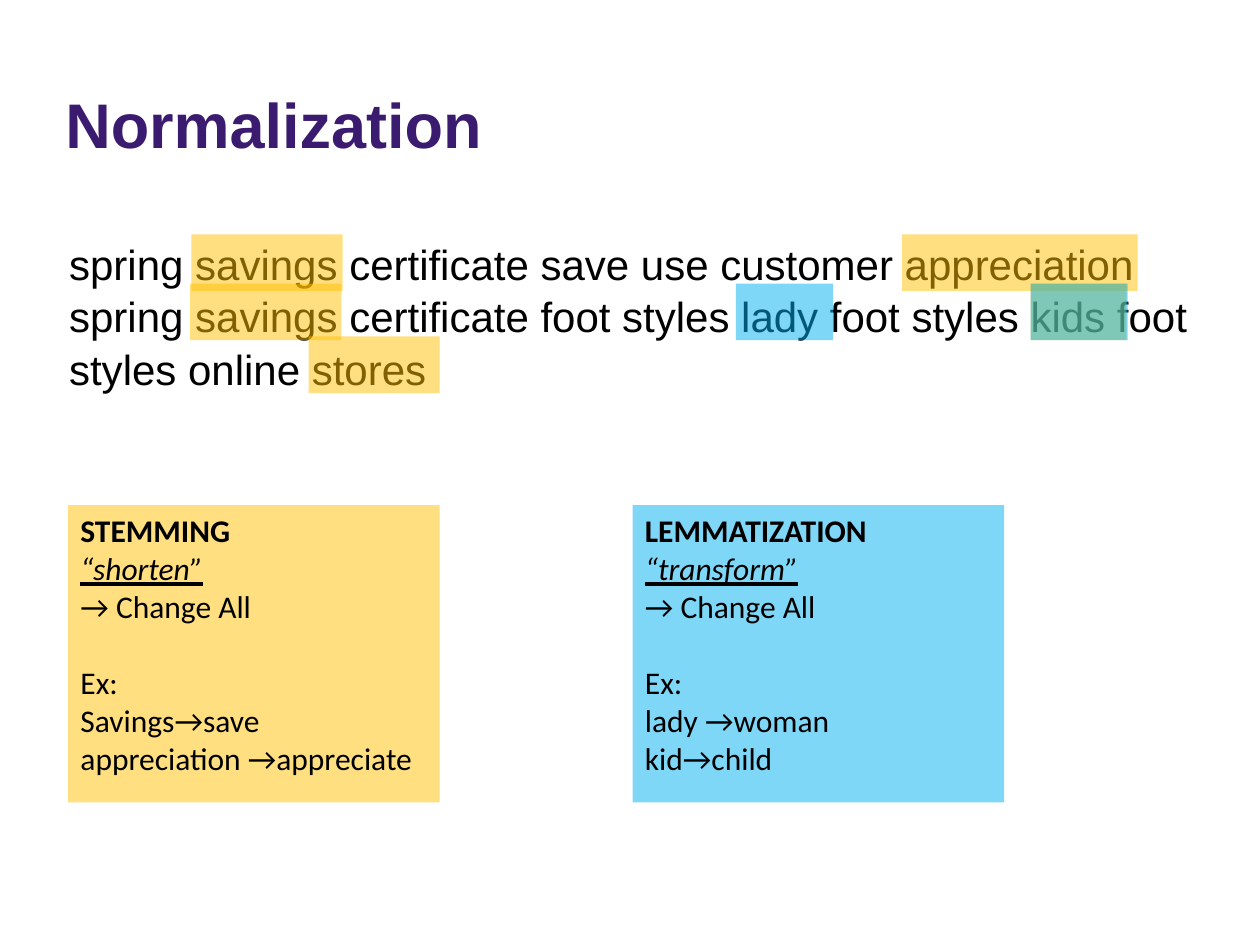
from lxml import etree
from pptx import Presentation
from pptx.dml.color import RGBColor
from pptx.enum import shapes, text
from pptx.oxml import ns
from pptx.util import Inches, Pt

AMBER, BLUE = "FFC000", "00B0F0"
BLACK, PURPLE = "000000", "3B1B70"


def color(value):
    """Turn a hex string into a colour."""
    return RGBColor.from_string(value)


def add_run(paragraph, words, size, font="Arial", ink=BLACK, **styles):
    """Add one styled run to a paragraph."""
    run = paragraph.add_run()
    run.text = words
    run.font.name, run.font.size = font, Pt(size)
    run.font.color.rgb = color(ink)
    for name, value in styles.items():
        setattr(run.font, name, value)


def add_text_box(slide, box):
    """Add a wrapping text box and return its first paragraph."""
    frame = slide.shapes.add_textbox(*map(Inches, box)).text_frame
    frame.word_wrap = True
    return frame.paragraphs[0]


def add_block(slide, box, fill):
    """Add a half-transparent rectangle without outline."""
    shape = slide.shapes.add_shape(shapes.MSO_SHAPE.RECTANGLE, *map(Inches, box))
    shape.shadow.inherit = False
    shape.line.fill.background()
    shape.fill.solid()
    shape.fill.fore_color.rgb = color(fill)
    rgb = shape.fill._xPr.find(".//" + ns.qn("a:srgbClr"))
    etree.SubElement(rgb, ns.qn("a:alpha"), val="50000")
    return shape


def add_title(slide, box):
    """Add the slide title."""
    add_run(add_text_box(slide, box), "Normalization", 36, ink=PURPLE, bold=True)


def add_sample(slide, box):
    """Add the sample text whose words are highlighted."""
    paragraph = add_text_box(slide, box)
    paragraph.line_spacing = 1.05
    paragraph.space_after = Pt(10)
    add_run(
        paragraph,
        "spring savings certificate save use customer appreciation "
        "spring savings certificate foot styles lady foot styles kids "
        "foot styles online stores",
        24,
    )


def add_highlights(slide, box):
    """Mark words of the sample text, placed relative to its box."""
    left, top = box[:2]
    first, second, third = 0.04, 0.43, 0.85
    marks = [
        (1.07, first, 1.2, AMBER),
        (5.39, second, 0.77, BLUE),
        (6.71, first, 1.87, AMBER),
        (1.06, second, 1.2, AMBER),
        (2.0, third, 1.04, AMBER),
        (7.73, second, 0.76, AMBER),
        (7.73, second, 0.77, BLUE),
    ]
    for x, y, width, fill in marks:
        add_block(slide, (left + x, top + y, width, 0.45), fill)


def add_method(slide, box, fill, name, motto, examples):
    """Add a card that explains one normalization method."""
    frame = add_block(slide, box, fill).text_frame
    frame.word_wrap = True
    frame.vertical_anchor = text.MSO_ANCHOR.TOP
    lines = [
        (name, {"bold": True}),
        (motto, {"italic": True, "underline": True}),
        ("→ Change All", {}),
        ("Ex:", {}),
        *((example, {}) for example in examples),
    ]
    for index, (words, styles) in enumerate(lines):
        paragraph = frame.add_paragraph() if index else frame.paragraphs[0]
        paragraph.alignment = text.PP_ALIGN.LEFT
        if words == "Ex:":
            paragraph.space_before = Pt(22)
        add_run(paragraph, words, 18, "Calibri", **styles)


def main():
    """Build the slide and save it."""
    presentation = Presentation()
    presentation.slide_width, presentation.slide_height = Inches(10), Inches(7.5)
    slide = presentation.slides.add_slide(presentation.slide_layouts[6])

    sample_box = (0.45, 1.82, 9.28, 1.31)
    add_title(slide, (0.42, 0.63, 8.6, 0.71))
    add_sample(slide, sample_box)
    add_highlights(slide, sample_box)

    methods = [
        (AMBER, "STEMMING", "“shorten”",
         ["Savings→save", "appreciation →appreciate"]),
        (BLUE, "LEMMATIZATION", "“transform”",
         ["lady →woman", "kid→child"]),
    ]
    for index, method in enumerate(methods):
        add_method(slide, (0.54 + 4.48 * index, 4.01, 2.95, 2.36), *method)

    presentation.save("out.pptx")


if __name__ == "__main__":
    main()
